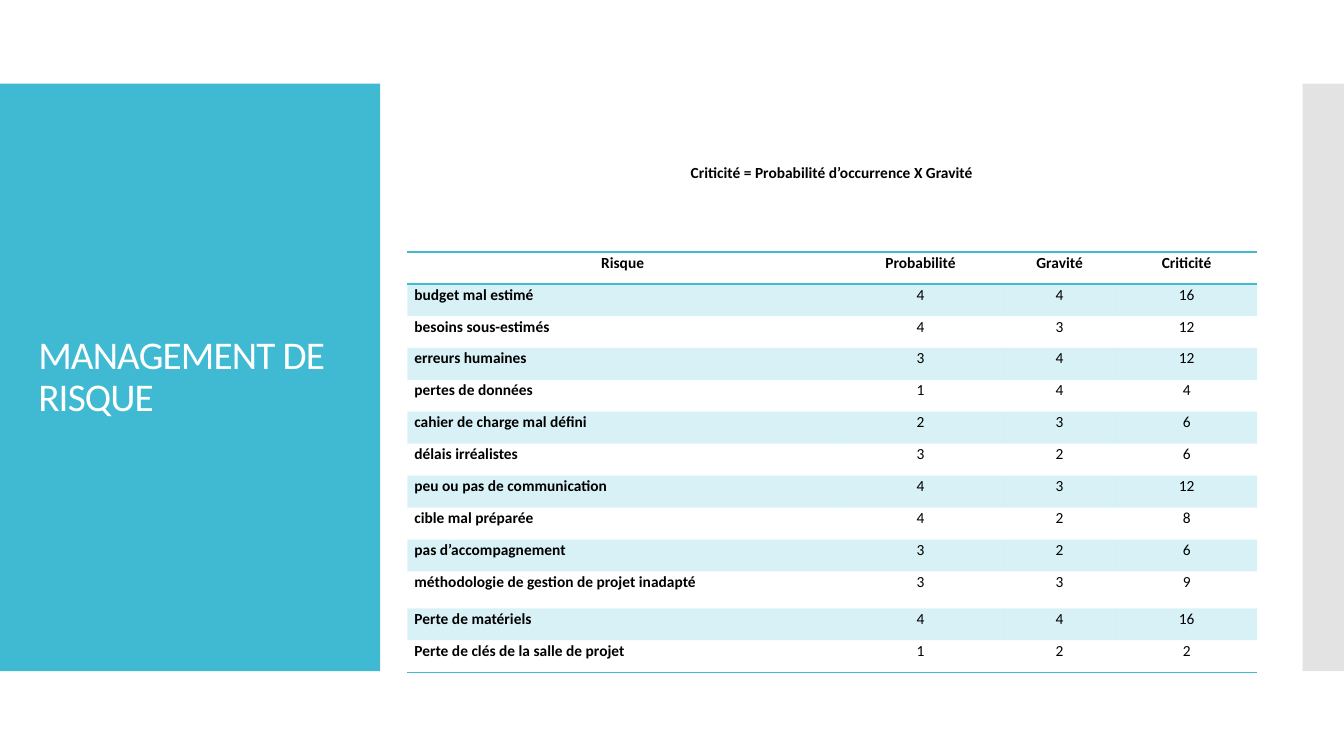
from dataclasses import dataclass

from lxml import etree
from pptx import Presentation
from pptx.dml.color import RGBColor
from pptx.enum import shapes, text
from pptx.oxml.ns import qn
from pptx.util import Inches, Pt

COLORS = {"accent": "40BAD2", "side": "C8C8C8", "title": "FFFFFF", "body": "000000"}
FONT = "Calibri"
PLAIN_TABLE_STYLE = "{2D5ABB26-0587-4C30-8999-92F81FD0307C}"
HEADINGS = ("Risque", "Probabilité", "Gravité", "Criticité")
COLUMN_WIDTHS = (4.27, 1.64, 1.12, 1.4)
ROW_HEIGHT = 0.317
TALL_ROW, TALL_ROW_HEIGHT = 10, 0.365


@dataclass
class Panel:
    left: float
    width: float
    color: str
    opacity: int = 100


@dataclass
class Risk:
    label: str
    probability: int
    severity: int

    def cells(self) -> tuple[str, ...]:
        criticality = self.probability * self.severity
        return (self.label, str(self.probability), str(self.severity), str(criticality))


PANELS = (Panel(0, 3.77, "accent"), Panel(12.92, 0.42, "side", 50))
RISKS = (
    Risk("budget mal estimé", 4, 4),
    Risk("besoins sous-estimés", 4, 3),
    Risk("erreurs humaines", 3, 4),
    Risk("pertes de données", 1, 4),
    Risk("cahier de charge mal défini", 2, 3),
    Risk("délais irréalistes", 3, 2),
    Risk("peu ou pas de communication", 4, 3),
    Risk("cible mal préparée", 4, 2),
    Risk("pas d’accompagnement", 3, 2),
    Risk("méthodologie de gestion de projet inadapté", 3, 3),
    Risk("Perte de matériels", 4, 4),
    Risk("Perte de clés de la salle de projet", 1, 2),
)


def rgb(name: str) -> RGBColor:
    return RGBColor.from_string(COLORS[name])


def fill_solid(target, element, color: str, opacity: int = 100) -> None:
    """Fill a shape or cell; element is the XML node that holds the fill."""
    target.fill.solid()
    target.fill.fore_color.rgb = rgb(color)
    if opacity < 100:
        node = next(element.iter(qn("a:srgbClr")))
        etree.SubElement(node, qn("a:alpha"), val=str(opacity * 1000))


def style_paragraph(para, size: float, color: str, bold: bool, align, spacing: float) -> None:
    para.alignment = align
    para.line_spacing = spacing
    for span in para.runs:
        span.font.name = FONT
        span.font.size = Pt(size)
        span.font.bold = bold
        span.font.color.rgb = rgb(color)


def add_panel(page, panel: Panel) -> None:
    box = page.shapes.add_shape(
        shapes.MSO_SHAPE.RECTANGLE,
        Inches(panel.left), Inches(0.83), Inches(panel.width), Inches(5.83),
    )
    box.shadow.inherit = False
    box.line.fill.background()
    fill_solid(box, box.element, panel.color, panel.opacity)


def place_title(page) -> None:
    title = page.shapes.title
    page.shapes.element.append(title.element)  # bring in front of the panel
    title.left, title.top = Inches(0.28), Inches(1.23)
    title.width, title.height = Inches(3.22), Inches(5.03)
    frame = title.text_frame
    frame.text = "MANAGEMENT DE RISQUE"
    frame.word_wrap = True
    frame.auto_size = text.MSO_AUTO_SIZE.NONE
    frame.vertical_anchor = text.MSO_ANCHOR.MIDDLE
    para = frame.paragraphs[0]
    style_paragraph(para, 28, "title", False, text.PP_ALIGN.LEFT, 0.9)
    para.runs[0].font._element.set("spc", "-60")


def add_formula(page) -> None:
    box = page.shapes.add_textbox(Inches(4.19), Inches(1.56), Inches(8.12), Inches(0.29))
    frame = box.text_frame
    frame.word_wrap = True
    frame.auto_size = text.MSO_AUTO_SIZE.SHAPE_TO_FIT_TEXT
    frame.vertical_anchor = text.MSO_ANCHOR.MIDDLE
    frame.text = "Criticité = Probabilité d’occurrence X Gravité"
    style_paragraph(frame.paragraphs[0], 11, "body", True, text.PP_ALIGN.CENTER, 1.0)


def add_border(cell, side: str) -> None:
    """Draw one accent edge; side is lnT or lnB, and must precede the fill."""
    properties = cell._tc.get_or_add_tcPr()
    edge = etree.SubElement(properties, qn(f"a:{side}"), w=str(Pt(1)))
    solid = etree.SubElement(edge, qn("a:solidFill"))
    etree.SubElement(solid, qn("a:srgbClr"), val=COLORS["accent"])


def format_cell(cell, row: int, column: int) -> None:
    is_header = row == 0
    if is_header:
        add_border(cell, "lnT")
    if is_header or row == len(RISKS):
        add_border(cell, "lnB")
    if row % 2:
        fill_solid(cell, cell._tc, "accent", 20)
    else:
        cell.fill.background()
    cell.margin_left = cell.margin_right = Inches(0.07)
    cell.margin_top = cell.margin_bottom = 0
    is_label = column == 0 and not is_header
    align = text.PP_ALIGN.LEFT if is_label else text.PP_ALIGN.CENTER
    para = cell.text_frame.paragraphs[0]
    style_paragraph(para, 11, "body", is_header or is_label, align, 1.07)


def add_risk_table(page) -> None:
    rows = (HEADINGS, *(risk.cells() for risk in RISKS))
    frame = page.shapes.add_table(
        len(rows), len(HEADINGS),
        Inches(4.04), Inches(2.5), Inches(sum(COLUMN_WIDTHS)), Inches(4.17),
    )
    table = frame.table
    table.horz_banding = False
    next(frame.element.iter(qn("a:tableStyleId"))).text = PLAIN_TABLE_STYLE
    for column, width in zip(table.columns, COLUMN_WIDTHS):
        column.width = Inches(width)
    for r, values in enumerate(rows):
        table.rows[r].height = Inches(TALL_ROW_HEIGHT if r == TALL_ROW else ROW_HEIGHT)
        for c, value in enumerate(values):
            cell = table.cell(r, c)
            cell.text_frame.text = value
            format_cell(cell, r, c)


def main() -> None:
    deck = Presentation()
    deck.slide_width, deck.slide_height = Inches(13.33), Inches(7.5)
    page = deck.slides.add_slide(deck.slide_layouts[5])
    for panel in PANELS:
        add_panel(page, panel)
    place_title(page)
    add_risk_table(page)
    add_formula(page)
    deck.save("out.pptx")


if __name__ == "__main__":
    main()
